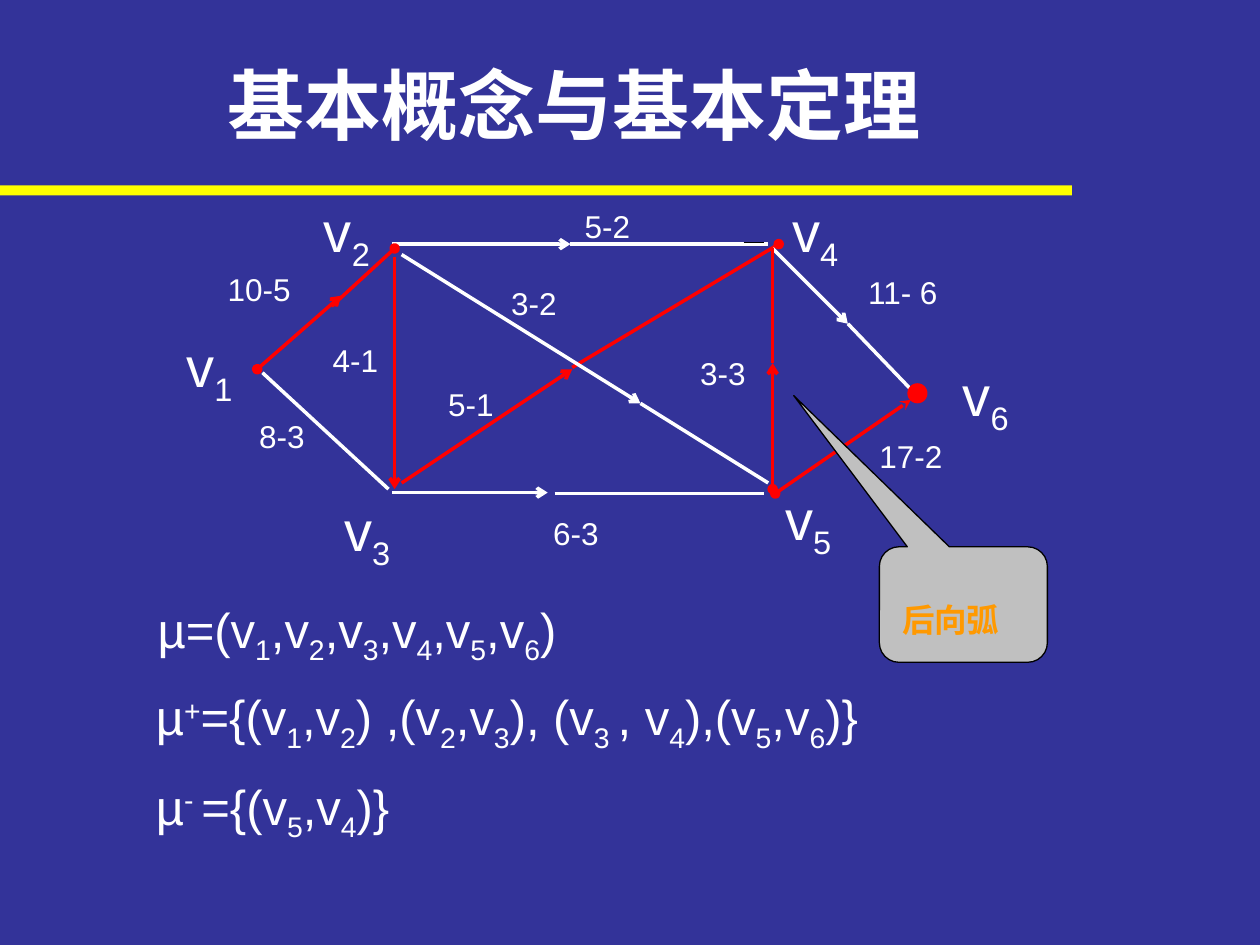
from lxml.etree import SubElement
from pptx import Presentation
from pptx.dml.color import RGBColor
from pptx.enum.shapes import MSO_CONNECTOR, MSO_SHAPE
from pptx.enum.text import MSO_AUTO_SIZE
from pptx.oxml.ns import qn
from pptx.util import Pt

COLORS = {
    "background": "333399",
    "white": "FFFFFF",
    "red": "FF0000",
    "yellow": "FFFF00",
    "gray": "C0C0C0",
    "orange": "FF9900",
    "black": "000000",
}
FRAME_FORMAT = {
    "word_wrap": True,
    "auto_size": MSO_AUTO_SIZE.SHAPE_TO_FIT_TEXT,
    "margin_left": Pt(7.2),
    "margin_right": Pt(7.2),
    "margin_top": Pt(3.6),
    "margin_bottom": Pt(3.6),
}

presentation = Presentation()
presentation.slide_width = Pt(720)
presentation.slide_height = Pt(540)
slide = presentation.slides.add_slide(presentation.slide_layouts[6])
slide.background.fill.solid()
slide.background.fill.fore_color.rgb = RGBColor.from_string(COLORS["background"])


def add_text(text, left, top, width, height, size, color="white", bold=False):
    box = slide.shapes.add_textbox(Pt(left), Pt(top), Pt(width), Pt(height))
    for name, value in FRAME_FORMAT.items():
        setattr(box.text_frame, name, value)
    paragraph = box.text_frame.paragraphs[0]
    for index, piece in enumerate(text.split("|")):
        if not piece:
            continue
        run = paragraph.add_run()
        run.text = piece.lstrip("^")
        for name, value in {"size": Pt(size), "name": "Arial", "bold": bold}.items():
            setattr(run.font, name, value)
        run.font.color.rgb = RGBColor.from_string(COLORS[color])
        if index % 2:
            baseline = "30000" if piece.startswith("^") else "-25000"
            run._r.get_or_add_rPr().set("baseline", baseline)
    return box


def add_filled(kind, left, top, width, height, color):
    shape = slide.shapes.add_shape(kind, Pt(left), Pt(top), Pt(width), Pt(height))
    shape.shadow.inherit = False
    shape.fill.solid()
    shape.fill.fore_color.rgb = RGBColor.from_string(COLORS[color])
    shape.line.fill.background()
    return shape


add_filled(MSO_SHAPE.RECTANGLE, 0, 106, 612.5, 5.75, "yellow")
add_text("基本概念与基本定理", 123, 29.5, 458, 60.5, 44, bold=True)

vertices = [
    (1, 99.5, 186, 58.5),
    (2, 178, 109, 44),
    (3, 189.5, 279.5, 54),
    (4, 445.5, 109, 45.5),
    (5, 441.5, 273.5, 45.5),
    (6, 543, 202.5, 46),
]
for number, left, top, width in vertices:
    add_text(f"v|{number}|", left, top, width, 51, 32)

formulas = [
    ("µ=(v|1|,v|2|,v|3|,v|4|,v|5|,v|6|)", 83, 339),
    ("µ|^+|={(v|1|,v|2|) ,(v|2|,v|3|), (v|3 |, v|4|),(v|5|,v|6|)}", 82, 389),
    ("µ|^- |={(v|5|,v|4|)}", 82, 440),
]
for formula, left, top in formulas:
    add_text(formula, left, top, 552, 45, 28)

weights = [
    ("3-3", 393, 198.5, 54),
    ("4-1", 183, 191.5, 50.5),
    ("8-3", 141, 234.5, 60),
    ("5-1", 249, 216.5, 70.5),
    ("10-5", 123, 151, 66),
    ("11- 6", 489, 152.5, 78),
    ("6-3", 309, 290, 60),
    ("17-2", 495.5, 246, 72),
    ("3-2", 285, 158.5, 60),
    ("5-2", 327, 114.5, 60),
]
for weight, left, top, width in weights:
    add_text(weight, left, top, width, 29, 18)

arcs = [
    (147, 211, 195, 169, "red", 2, "oval", "arrow"),
    (224, 139.5, 326, 139.5, "white", 2, None, "arrow"),
    (229.5, 276, 327, 211, "red", 2, None, "arrow"),
    (224, 281.5, 313, 281.5, "white", 2, None, "arrow"),
    (189.5, 175, 225.5, 142, "red", 2, None, "oval"),
    (441.5, 279.5, 441.5, 207.5, "red", 2, "oval", "arrow"),
    (225.5, 147, 225.5, 279.5, "red", 2, None, "arrow"),
    (327, 210, 445, 139.5, "red", 2, None, "oval"),
    (441.5, 142, 484.5, 185, "white", 2, None, "arrow"),
    (229.5, 145.5, 366, 230.5, "white", 2, None, "arrow"),
    (150, 213, 222, 279.5, "white", 2, None, None),
    (366, 230.5, 439, 276, "white", 2, None, None),
    (317, 282, 436.5, 282, "white", 2, None, None),
    (326, 139.5, 439, 139.5, "white", 2, None, None),
    (484.5, 185, 520.5, 222.5, "white", 2, None, None),
    (520.5, 228.5, 443, 282, "red", 2, "stealth", "oval"),
    (425, 138.5, 436.5, 138.5, "black", 0.75, None, None),
    (441.5, 142, 441.5, 207.5, "red", 2, None, None),
]
for x1, y1, x2, y2, color, width, head, tail in arcs:
    arc = slide.shapes.add_connector(MSO_CONNECTOR.STRAIGHT, Pt(x1), Pt(y1), Pt(x2), Pt(y2))
    arc.line.color.rgb = RGBColor.from_string(COLORS[color])
    arc.line.width = Pt(width)
    for tag, end in (("a:headEnd", head), ("a:tailEnd", tail)):
        if end:
            SubElement(arc.line._get_or_add_ln(), qn(tag), type=end)
    SubElement(arc._element.spPr, qn("a:effectLst"))

add_filled(MSO_SHAPE.OVAL, 518.5, 219, 11.5, 11.5, "red")

callout = add_filled(MSO_SHAPE.ROUNDED_RECTANGULAR_CALLOUT, 502.5, 312.5, 96, 66, "gray")
for index, value in enumerate((-1.007, -1.811, 0.167)):
    callout.adjustments[index] = round(value, 2)
callout.line.color.rgb = RGBColor.from_string(COLORS["black"])
callout.line.width = Pt(0.75)
label = add_text("|后向弧|", 508.5, 318, 84, 51, 32, "orange", True)
label.fill.solid()
label.fill.fore_color.rgb = RGBColor.from_string(COLORS["gray"])

presentation.save("out.pptx")
